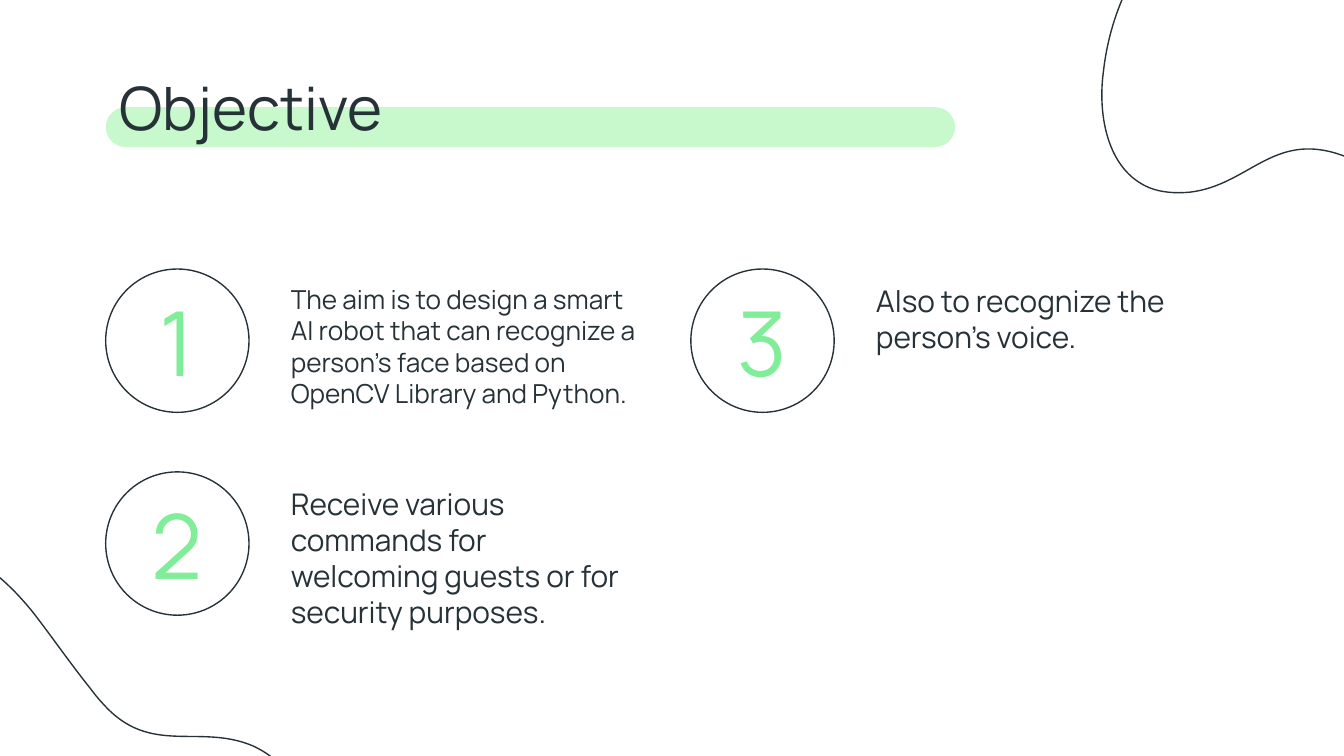
"""Build the Objective slide with three numbered goals."""
from dataclasses import dataclass

from lxml import etree
from pptx import Presentation
from pptx.dml.color import RGBColor as Rgb
from pptx.enum import shapes, text
from pptx.oxml import ns
from pptx.util import Pt


@dataclass(frozen=True)
class Theme:
    font: str = "Manrope"
    ink: Rgb = Rgb(0x26, 0x32, 0x38)
    green: Rgb = Rgb(0x80, 0xED, 0x99)
    pale: Rgb = Rgb(0xC7, 0xF9, 0xCC)
    title: int = 32
    digit: int = 48
    body: int = 16
    small: int = 14
    line: float = 0.75


theme = Theme()


def write(box, words, size, color, align, anchor, left=7.2):
    """Fill a shape with one styled run."""
    frame = box.text_frame
    frame.auto_size = text.MSO_AUTO_SIZE.NONE
    frame.word_wrap = True
    frame.vertical_anchor = anchor
    frame.margin_left = Pt(left)
    frame.margin_right = frame.margin_top = frame.margin_bottom = Pt(7.2)
    para = frame.paragraphs[0]
    para.alignment = align
    run = para.add_run()
    run.text = words
    run.font.name = theme.font
    run.font.size = Pt(size)
    run.font.color.rgb = color


def outline(shape):
    """Leave a shape unfilled with a thin dark line."""
    shape.shadow.inherit = False
    shape.fill.background()
    shape.line.color.rgb = theme.ink
    shape.line.width = Pt(theme.line)


deck = Presentation()
deck.slide_width, deck.slide_height = Pt(720), Pt(405)
slide = deck.slides.add_slide(deck.slide_layouts[5])
items = slide.shapes
left, center = text.PP_ALIGN.LEFT, text.PP_ALIGN.CENTER
top, middle = text.MSO_ANCHOR.TOP, text.MSO_ANCHOR.MIDDLE

bar = items.add_shape(shapes.MSO_SHAPE.ROUNDED_RECTANGLE,
                      Pt(56.7), Pt(57.4), Pt(455), Pt(21.4))
bar.adjustments[0] = 0.5
bar.shadow.inherit = False
bar.fill.solid()
bar.fill.fore_color.rgb = theme.pale
bar.line.fill.background()

title = items.title
title.left, title.top, title.width, title.height = Pt(56.7), Pt(30.6), Pt(607), Pt(48.2)
write(title, "Objective", theme.title, theme.ink, left, top)
bar.element.addnext(title.element)

blobs = [
    [(616.3, 100.8), (622.1, 103), (629.3, 103.7), (637.2, 103),
     (668.9, 99.4), (681.8, 70.6), (717.8, 82.8),
     (721.4, 84.2), (725, 85), (728.6, 86.4), (745.2, 92.9), (760.3, 100.8), (775.4, 106.6),
     (794.2, 113.8), (812.9, 118.1), (836.6, 114.5), (877.7, 109.4), (895, 85), (900, 51.1),
     (910.1, -7.9), (872.6, -51.1), (818.6, -72), (795.6, -80.6), (769.7, -85), (743, -85),
     (658.1, -85), (599, -33.1), (591.1, 38.9), (588.2, 60.5), (592.6, 91.4), (616.3, 100.8)],
    [(152.6, 412.6), (148.3, 407.5), (143.3, 403.2), (135.4, 399.6),
     (106.6, 387.4), (80.6, 405.4), (55.4, 377.3),
     (52.6, 374.4), (50.4, 371.5), (48.2, 368.6), (36.7, 354.2), (27.4, 340.6), (17.3, 327.6),
     (5, 312.5), (-9.4, 299.5), (-31.7, 290.2), (-69.8, 274.3), (-96.5, 287.3), (-118.8, 313.9),
     (-156.2, 360), (-145.4, 416.2), (-109.4, 460.8), (-93.6, 480.2), (-73.4, 496.8),
     (-50.4, 510.5),
     (23, 552.2), (100.1, 537.1), (143.3, 478.8), (156.2, 461.5), (168.5, 432), (152.6, 412.6)],
]
for knots in blobs:
    dots = [(Pt(x), Pt(y)) for x, y in knots]
    pen = items.build_freeform(*dots[0])
    pen.add_line_segments(dots[1:], close=True)
    blob = pen.convert_to_shape()
    outline(blob)
    lines = blob.element.findall(".//" + ns.qn("a:lnTo"))
    for i in range(0, len(lines), 3):
        curve = etree.Element(ns.qn("a:cubicBezTo"))
        lines[i].addprevious(curve)
        for line in lines[i:i + 3]:
            curve.append(line[0])
            line.getparent().remove(line)

goals = [
    ("1", 0, 0, 29.5, theme.small, "The aim is to design a smart AI robot that can "
     "recognize a person’s face based on OpenCV Library and Python."),
    ("2", 0, 1, 89.3, theme.body, "Receive various commands for welcoming guests or "
     "for security purposes."),
    ("3", 1, 0, 54.7, theme.body, "Also to recognize the person’s voice."),
]
for digit, col, row, tall, size, words in goals:
    x, y = 56.6 + 313.5 * col, 144.1 + 108.7 * row
    outline(items.add_shape(shapes.MSO_SHAPE.OVAL, Pt(x), Pt(y), Pt(76.8), Pt(76.8)))
    mark = items.add_textbox(Pt(x + 3.5), Pt(y + 10.7), Pt(69.8), Pt(55.4))
    write(mark, digit, theme.digit, theme.green, center, middle)
    note = items.add_textbox(Pt(x + 82), Pt(y + 0.4), Pt(211), Pt(tall))
    write(note, words, size, theme.ink, left, top, 17.2)

deck.save("out.pptx")
